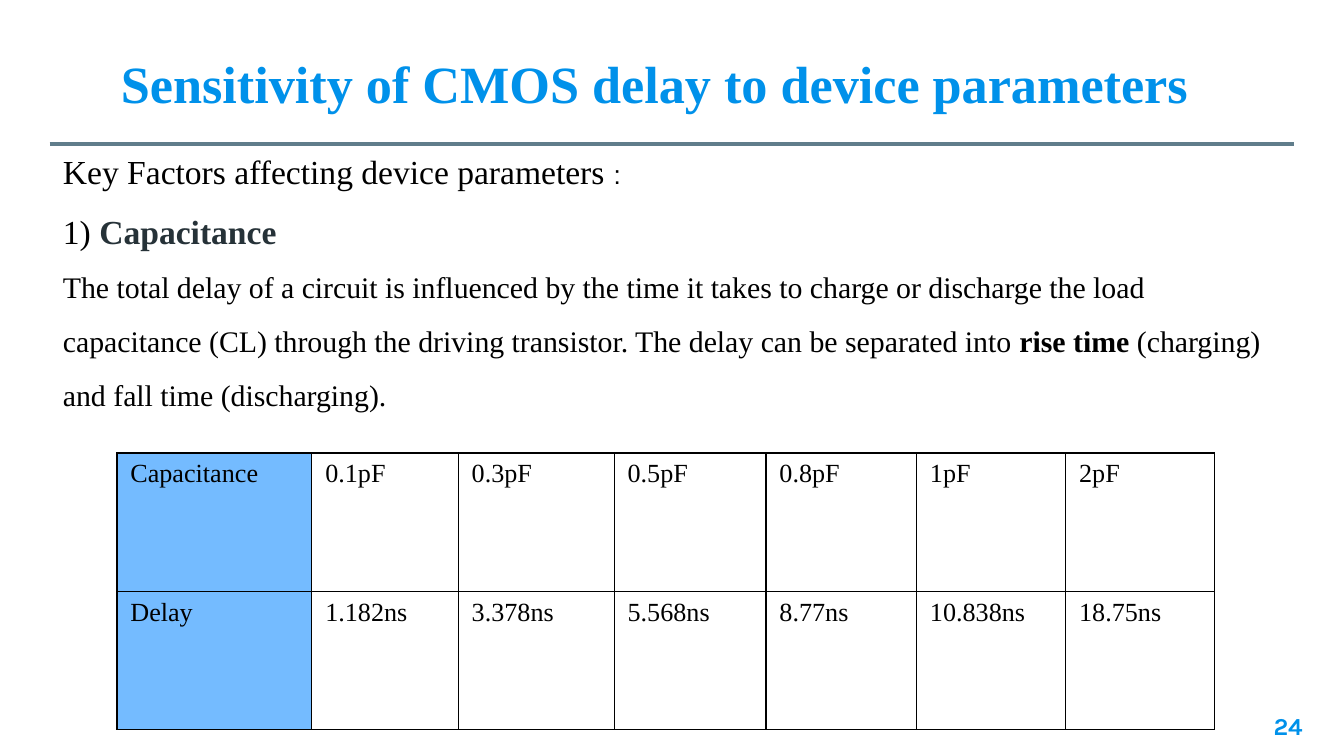
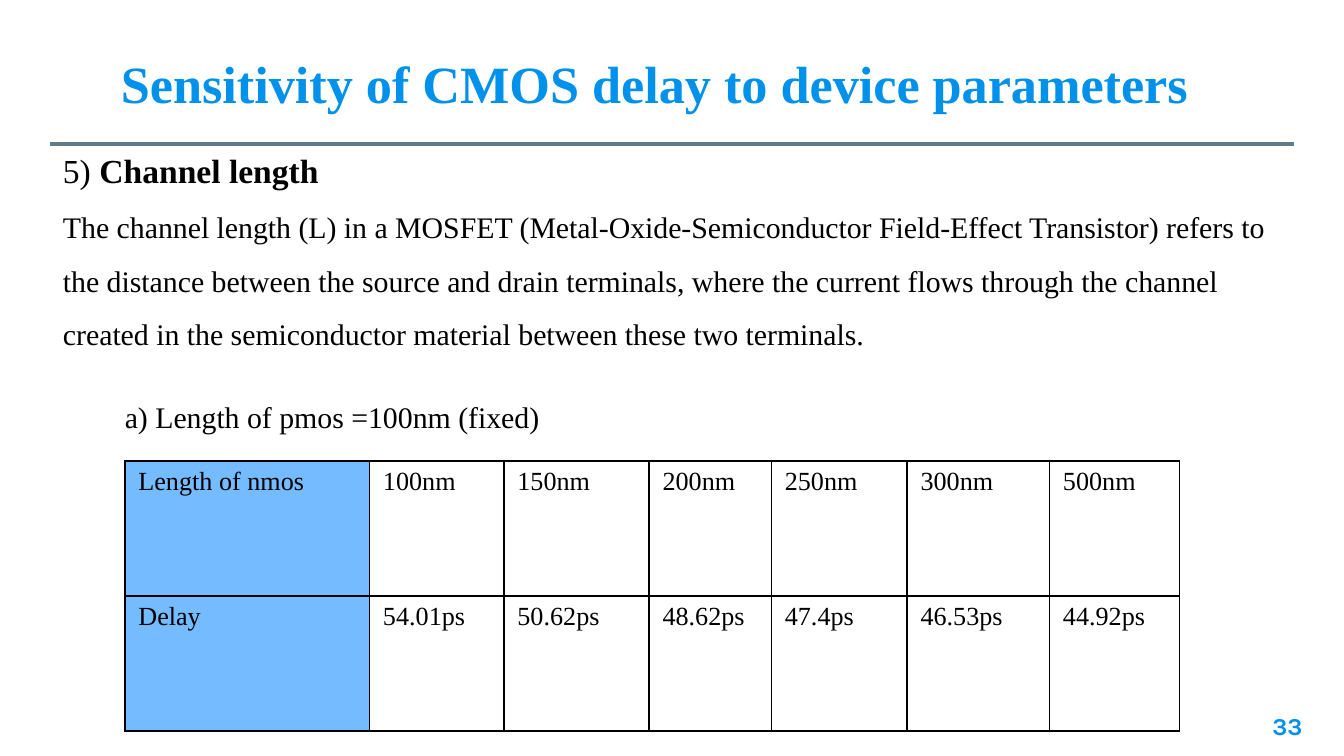
from lxml import etree
from pptx import Presentation
from pptx.dml.color import RGBColor
from pptx.enum.shapes import MSO_CONNECTOR
from pptx.enum.text import MSO_ANCHOR, MSO_AUTO_SIZE, PP_ALIGN
from pptx.oxml import parse_xml
from pptx.oxml.ns import qn
from pptx.util import Inches, Pt

STRAIGHT = MSO_CONNECTOR.STRAIGHT
TOP = MSO_ANCHOR.TOP
NO_AUTOFIT = MSO_AUTO_SIZE.NONE
LEFT, RIGHT = PP_ALIGN.LEFT, PP_ALIGN.RIGHT

COLORS = {
    "accent": "0091EA",
    "rule": "607D8B",
    "ink": "000000",
    "slate": "263238",
    "header": "74BBFF",
}
SERIF = "Times New Roman"
TITLE = "Sensitivity of CMOS delay to device parameters"
BORDER = (
    '<a:{side} xmlns:a="http://schemas.openxmlformats.org/drawingml/2006/main" w="9525">'
    '<a:solidFill><a:srgbClr val="{color}"/></a:solidFill></a:{side}>'
)

# Each text: box, then paragraphs of (text, size, bold, color, font) spans
pages = [
    {
        "number": "24",
        "texts": [
            ((0.37, 1.07, 9.16, 2.31), [
                [("Key Factors affecting device parameters ", 18, False, "ink", SERIF),
                 (":", 14, False, "ink", "Arial")],
                [("1) ", 18, False, "ink", SERIF),
                 ("Capacitance", 18, True, "slate", SERIF)],
                [("The total delay of a circuit is influenced by the time it takes to "
                  "charge or discharge the load capacitance (CL) through the driving "
                  "transistor. The delay can be separated into ", 16, False, "ink", SERIF),
                 ("rise time", 16, True, "ink", SERIF),
                 (" (charging) and fall time (discharging).", 16, False, "ink", SERIF)],
            ]),
        ],
        "table_at": (0.87, 3.37),
        "columns": [1.45, 1.09, 1.16, 1.13, 1.12, 1.11, 1.11],
        "table_height": 2.06,
        "rows": [
            ["Capacitance", "0.1pF", "0.3pF", "0.5pF", "0.8pF", "1pF", "2pF"],
            ["Delay", "1.182ns", "3.378ns", "5.568ns", "8.77ns", "10.838ns", "18.75ns"],
        ],
    },
    {
        "number": "33",
        "texts": [
            ((0.37, 1.07, 9.25, 1.57), [
                [("5) ", 18, False, "ink", SERIF),
                 ("Channel length", 18, True, "ink", SERIF)],
                [("The channel length (L) in a MOSFET (Metal-Oxide-Semiconductor "
                  "Field-Effect Transistor) refers to the distance between the source "
                  "and drain terminals, where the current flows through the channel "
                  "created in the semiconductor material between these two terminals.",
                  16, False, "ink", SERIF)],
            ]),
            ((0.83, 2.92, 9.35, 0.37), [
                [("a) Length of pmos =100nm (fixed)", 16, False, "ink", SERIF)],
            ]),
        ],
        "table_at": (0.93, 3.43),
        "columns": [1.82, 1, 1.08, 0.91, 1.01, 1.06, 0.97],
        "table_height": 2.01,
        "rows": [
            ["Length of nmos", "100nm", "150nm", "200nm", "250nm", "300nm", "500nm"],
            ["Delay", "54.01ps", "50.62ps", "48.62ps", "47.4ps", "46.53ps", "44.92ps"],
        ],
    },
]


def style(span, size, bold, color, font):
    span.font.size = Pt(size)
    span.font.bold = bold
    span.font.color.rgb = RGBColor.from_string(COLORS[color])
    span.font.name = font


def add_text(page, at, paragraphs):
    box = page.shapes.add_textbox(*[Inches(length) for length in at])
    frame = box.text_frame
    frame.word_wrap = True
    for index, spans in enumerate(paragraphs):
        para = frame.paragraphs[0] if index == 0 else frame.add_paragraph()
        if index:
            para.line_spacing = 1.5
        for text, *look in spans:
            span = para.add_run()
            span.text = text
            style(span, *look)
    return frame


# Widescreen, 16 to 9
deck = Presentation()
deck.slide_width = Inches(10)
deck.slide_height = Inches(10) * 9 // 16

for content in pages:
    page = deck.slides.add_slide(deck.slide_layouts[5])

    # Title
    title = page.shapes.title
    title.left, title.top = Inches(0.8), Inches(0.33)
    title.width, title.height = Inches(8.99), Inches(0.57)
    frame = title.text_frame
    frame.text = TITLE
    frame.word_wrap = True
    frame.auto_size = NO_AUTOFIT
    frame.vertical_anchor = TOP
    frame.paragraphs[0].alignment = LEFT
    style(frame.paragraphs[0].runs[0], 28, True, "accent", SERIF)

    # Rule under the title
    rule = page.shapes.add_connector(
        STRAIGHT, Inches(0.37), Inches(1.07), Inches(9.63), Inches(1.07))
    rule.line.color.rgb = RGBColor.from_string(COLORS["rule"])
    rule.line.width = Pt(2.25)
    etree.SubElement(rule._element.spPr, qn("a:effectLst"))

    # Page number
    number = add_text(page, (9.19, 5.19, 0.6, 0.43),
                      [[(content["number"], 13, True, "accent", "Karla")]])
    number.margin_top = number.margin_bottom = Inches(0.1)
    number.paragraphs[0].alignment = RIGHT

    # Body
    for at, paragraphs in content["texts"]:
        add_text(page, at, paragraphs)

    # Table of delays
    rows, columns = content["rows"], content["columns"]
    left, top = content["table_at"]
    height = Inches(content["table_height"])
    table = page.shapes.add_table(
        len(rows), len(columns), Inches(left), Inches(top),
        Inches(sum(columns)), height).table
    table.first_row = False
    table.horz_banding = False
    for column, width in zip(table.columns, columns):
        column.width = Inches(width)
    for row, values in zip(table.rows, rows):
        row.height = height // len(rows)
        for index, (cell, value) in enumerate(zip(row.cells, values)):
            cell.text = value
            style(cell.text_frame.paragraphs[0].runs[0], 14, False, "ink", SERIF)
            for side in ("lnL", "lnR", "lnT", "lnB"):
                cell._tc.get_or_add_tcPr().append(
                    parse_xml(BORDER.format(side=side, color=COLORS["ink"])))
            if index == 0:
                cell.fill.solid()
                cell.fill.fore_color.rgb = RGBColor.from_string(COLORS["header"])
            else:
                cell.fill.background()

deck.save("out.pptx")
